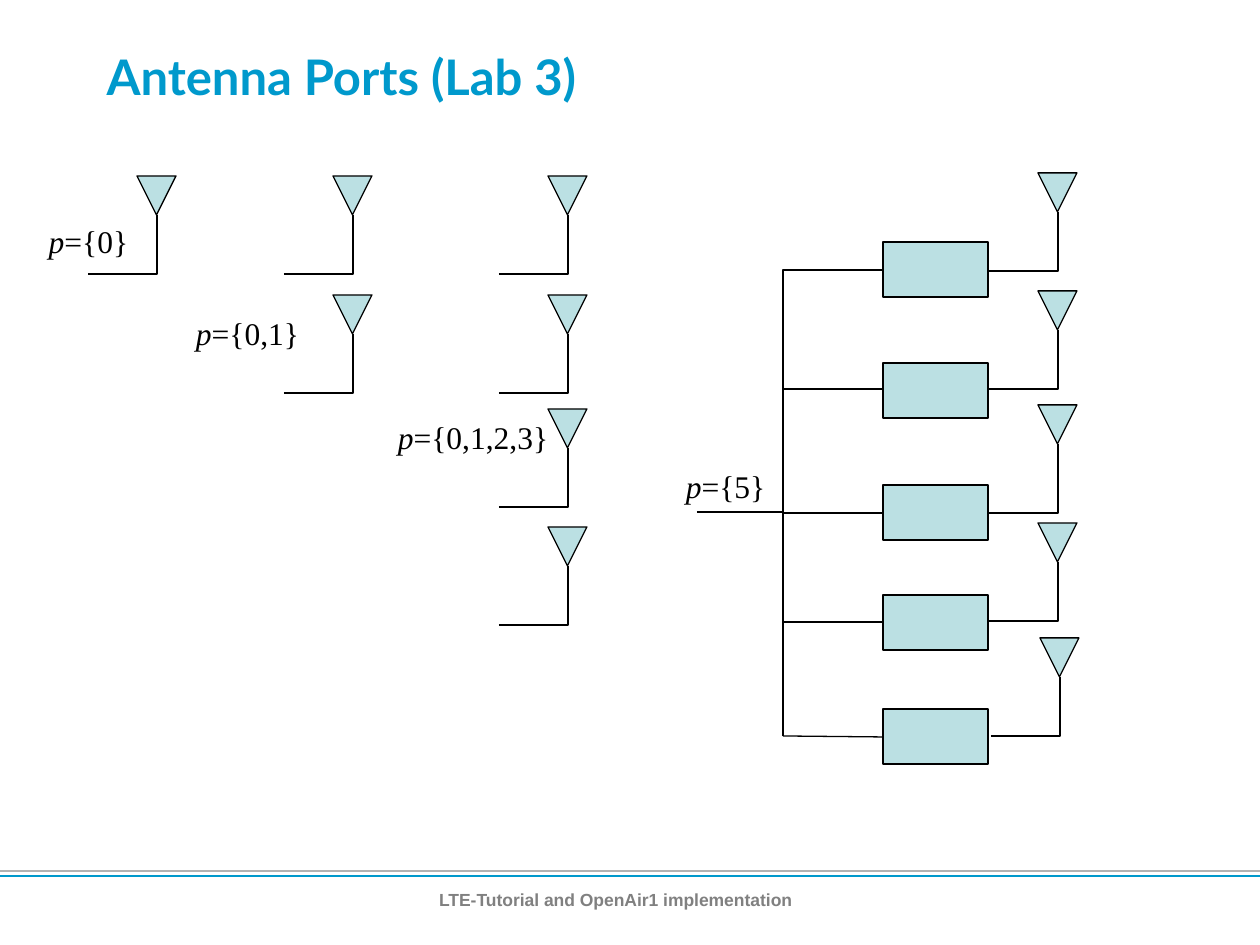
from pptx import Presentation
from pptx.dml.color import RGBColor
from pptx.enum.shapes import MSO_CONNECTOR, MSO_SHAPE
from pptx.enum.text import MSO_ANCHOR, MSO_AUTO_SIZE, PP_ALIGN
from pptx.oxml.ns import qn
from pptx.util import Emu, Inches, Pt
from lxml.etree import SubElement

SCALE = 914400 / 126
BLACK = RGBColor(0x00, 0x00, 0x00)
BLUE = RGBColor(0x00, 0x99, 0xCC)
TEAL = RGBColor(0xBB, 0xE0, 0xE3)
GRAY = RGBColor(0x80, 0x80, 0x80)
SILVER = RGBColor(0xB2, 0xB2, 0xB2)

SIDE = 39
ROWS = [176, 295, 409, 527]
GROUPS = [(137, 1), (333, 2), (548, 4)]
LABELS = [
    ("={0}", 34, 216, 109),
    ("={0,1}", 181, 308, 133),
    ("={0,1,2,3}", 382, 412, 182),
    ("={5}", 671, 461, 109),
]
BEAMS = [
    (1038, 173, 98, 242),
    (1038, 291, 98, 363),
    (1038, 405, 108, 485),
    (1038, 523, 98, 595),
    (1040, 638, 98, 709),
]
BOX = 883
TRUNK = 783
TAPS = [(270, 509), (389, 522), (513, 736)]
WIRES = [
    (697, 512, TRUNK, 512, 1),
    (TRUNK, 622, BOX, 622, 0.75),
    (TRUNK, 736, BOX, 737, 0.75),
]


def px(*nums):
    """Turn px lengths into EMU."""
    return [Emu(round(num * SCALE)) for num in nums]


def style(para, size, name, color, bold=False):
    """Set the font of a whole paragraph."""
    font = para.font
    font.size = Pt(size)
    font.name = name
    font.bold = bold
    font.color.rgb = color


def wire(slide, ends, color=BLACK, width=0.75, bent=False):
    """Draw a straight line, or a corner that runs sideways first."""
    kind = MSO_CONNECTOR.ELBOW if bent else MSO_CONNECTOR.STRAIGHT
    line = slide.shapes.add_connector(kind, *px(*ends))
    line.line.color.rgb = color
    line.line.width = Pt(width)
    props = line._element.spPr
    if bent:
        props.find(qn("a:prstGeom")).set("prst", "bentConnector2")
    SubElement(props, qn("a:effectLst"))


def block(slide, kind, *area):
    """Draw a teal shape with a thin black outline."""
    shape = slide.shapes.add_shape(kind, *px(*area))
    shape.shadow.inherit = False
    shape.fill.solid()
    shape.fill.fore_color.rgb = TEAL
    shape.line.color.rgb = BLACK
    shape.line.width = Pt(0.75)
    return shape


def antenna(slide, left, top, drop=98):
    """Draw a downward triangle with its mast and feed line."""
    horn = block(slide, MSO_SHAPE.ISOSCELES_TRIANGLE, left, top, SIDE, SIDE)
    horn._element.spPr.find(qn("a:xfrm")).set("flipV", "1")
    mast = left + 20
    wire(slide, (mast - 69, top + drop, mast, top + SIDE), bent=True)


def label(slide, text, left, top, width):
    """Write a port set with an italic p before it."""
    frame = slide.shapes.add_textbox(*px(left, top, width, 50)).text_frame
    frame.word_wrap = False
    frame.auto_size = MSO_AUTO_SIZE.SHAPE_TO_FIT_TEXT
    para = frame.paragraphs[0]
    para.alignment = PP_ALIGN.CENTER
    style(para, 18, "Times New Roman", BLACK)
    for part, slant in (("p", True), (text, False)):
        run = para.add_run()
        run.text = part
        run.font.italic = slant


def head(slide, text):
    """Place and format the title."""
    title = slide.shapes.title
    title.left, title.top, title.width, title.height = px(94, 16, 1132, 120)
    frame = title.text_frame
    frame.text = text
    frame.vertical_anchor = MSO_ANCHOR.MIDDLE
    frame.auto_size = MSO_AUTO_SIZE.NONE
    para = frame.paragraphs[0]
    para.alignment = PP_ALIGN.LEFT
    style(para, 28, "Lato", BLUE, True)


def foot(slide, text):
    """Draw the double rule and the footer text."""
    wire(slide, (0, 871, 1260, 871), SILVER, 1.5)
    wire(slide, (0, 876, 1260, 876), BLUE, 1.5)
    frame = slide.shapes.add_textbox(*px(266, 883, 699, 62)).text_frame
    frame.word_wrap = True
    frame.text = text
    para = frame.paragraphs[0]
    para.alignment = PP_ALIGN.CENTER
    style(para, 10, "Arial", GRAY, True)


def main():
    """Build the slide and save it."""
    deck = Presentation()
    deck.slide_width, deck.slide_height = Inches(10), Inches(7.5)
    slide = deck.slides.add_slide(deck.slide_layouts[5])
    head(slide, "Antenna Ports (Lab 3)")
    foot(slide, "LTE-Tutorial and OpenAir1 implementation")
    for left, count in GROUPS:
        for top in ROWS[:count]:
            antenna(slide, left, top)
    for left, top, drop, box in BEAMS:
        antenna(slide, left, top, drop)
        block(slide, MSO_SHAPE.RECTANGLE, BOX, box, 105, 55)
    for start, end in TAPS:
        wire(slide, (BOX, start, TRUNK, end), width=1, bent=True)
    for *ends, width in WIRES:
        wire(slide, ends, width=width)
    for item in LABELS:
        label(slide, *item)
    deck.save("out.pptx")


if __name__ == "__main__":
    main()
